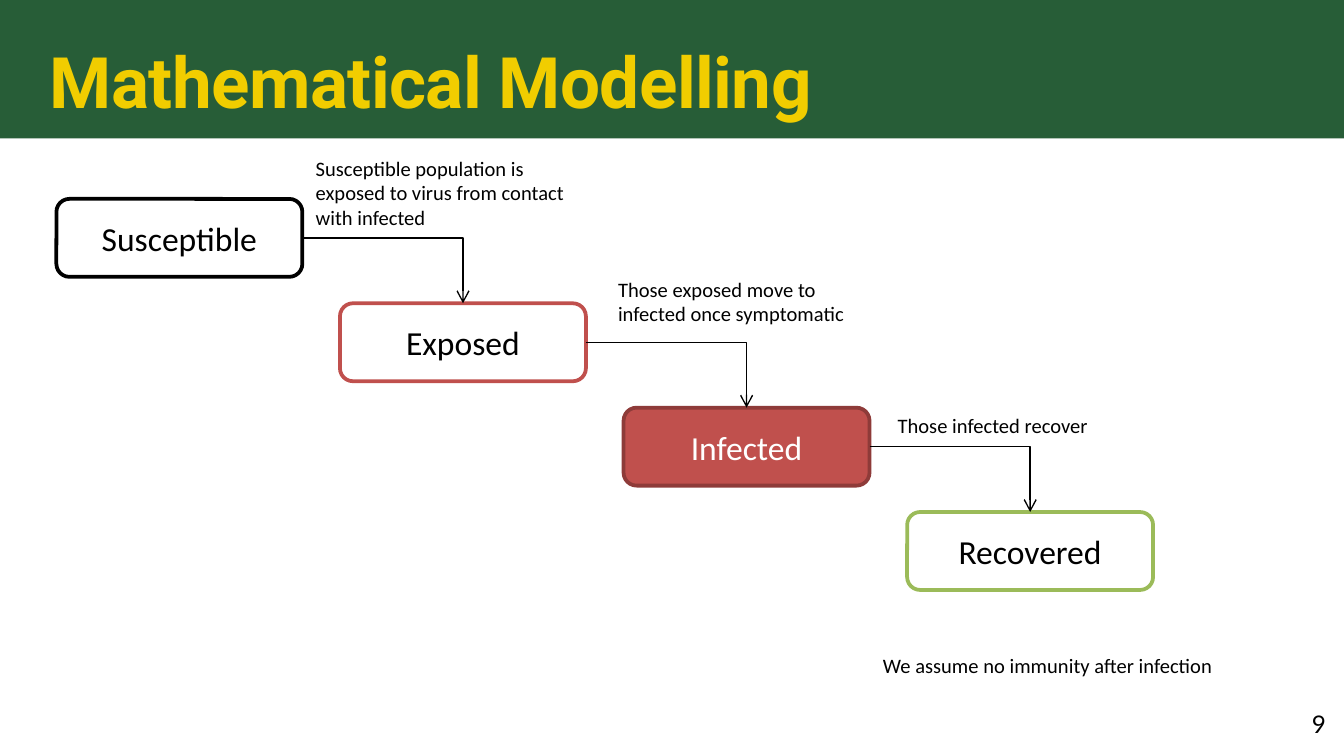
from lxml.etree import SubElement
from pptx import Presentation
from pptx.dml.color import RGBColor
from pptx.enum.shapes import MSO_CONNECTOR, MSO_SHAPE
from pptx.enum.text import MSO_ANCHOR, PP_ALIGN
from pptx.oxml.ns import qn
from pptx.util import Inches, Pt

COLORS = {
    "green": "275D37",
    "yellow": "F1CD00",
    "black": "000000",
    "white": "FFFFFF",
    "red": "C0504D",
    "dark_red": "8E3B39",
    "lime": "9BBB59",
}

# name, fill, outline, text colour
STAGES = [
    ("Susceptible", "white", "black", "black"),
    ("Exposed", "white", "red", "black"),
    ("Infected", "red", "dark_red", "white"),
    ("Recovered", "white", "lime", "black"),
]

# text, left, top, width, height (relative to the flow)
NOTES = [
    ("Susceptible population is exposed to virus from contact with infected",
     1.83, -0.37, 2.08, 0.66),
    ("Those exposed move to infected once symptomatic", 4.08, 0.53, 2.08, 0.47),
    ("Those infected recover", 6.16, 1.54, 2.08, 0.29),
    ("We assume no immunity after infection", 6.05, 3.33, 2.69, 0.29),
]

STAGE_WIDTH, STAGE_HEIGHT = 1.83, 0.58
STEP_RIGHT = 2.11
STEP_DOWN = 2.33 / (len(STAGES) - 1)


def color(name):
    return RGBColor.from_string(COLORS[name])


def write_text(shape, text, size=11, font="Calibri", color_name="black", bold=False,
               align=PP_ALIGN.LEFT, anchor=MSO_ANCHOR.TOP, spacing=None,
               indent=0, space_before=0, margins=(0.1, 0.05, 0.1, 0.05)):
    frame = shape.text_frame
    frame.word_wrap = True
    frame.vertical_anchor = anchor
    left, top, right, bottom = margins
    frame.margin_left, frame.margin_top = Inches(left + indent), Inches(top)
    frame.margin_right, frame.margin_bottom = Inches(right), Inches(bottom)
    paragraph = frame.paragraphs[0]
    paragraph.alignment = align
    paragraph.space_before = Pt(space_before)
    run = paragraph.add_run()
    run.text = text
    run.font.size = Pt(size)
    run.font.name = font
    run.font.bold = bold
    run.font.color.rgb = color(color_name)
    if spacing is not None:
        run.font._element.set("spc", str(round(spacing * 100)))


def add_text(slide, text, left, top, width, height, **text_format):
    box = slide.shapes.add_textbox(Inches(left), Inches(top), Inches(width), Inches(height))
    write_text(box, text, **text_format)


def add_box(slide, kind, left, top, width, height, fill, line=None):
    shape = slide.shapes.add_shape(
        kind, Inches(left), Inches(top), Inches(width), Inches(height))
    shape.shadow.inherit = False
    shape.fill.solid()
    shape.fill.fore_color.rgb = color(fill)
    if line:
        shape.line.color.rgb = color(line)
        shape.line.width = Pt(2)
    else:
        shape.line.fill.background()
    return shape


def add_arrow(slide, source, target):
    """Join the right side of source to the top of target with one bend."""
    arrow = slide.shapes.add_connector(MSO_CONNECTOR.ELBOW, 0, 0, 0, 0)
    arrow.begin_connect(source, 3)
    arrow.end_connect(target, 0)
    arrow.line.color.rgb = color("black")
    arrow.line.width = Pt(0.75)
    properties = arrow.element.spPr
    properties.find(qn("a:prstGeom")).set("prst", "bentConnector2")
    SubElement(properties.find(qn("a:ln")), qn("a:tailEnd"), type="arrow")
    SubElement(properties, qn("a:effectLst"))


def add_header(slide, left, top, width, height):
    add_box(slide, MSO_SHAPE.RECTANGLE, left, top, width, height, "green")
    add_text(slide, "Mathematical Modelling", left + 0.36, top + 0.27, 6.47, 0.65,
             size=38, font="Roboto", color_name="yellow", bold=True, spacing=-0.3,
             indent=0.01, space_before=1, margins=(0, 0.01, 0, 0))


def add_flow(slide, left, top):
    stages = []
    for index, (name, fill, line, text_color) in enumerate(STAGES):
        stage = add_box(slide, MSO_SHAPE.ROUNDED_RECTANGLE,
                        left + index * STEP_RIGHT, top + index * STEP_DOWN,
                        STAGE_WIDTH, STAGE_HEIGHT, fill, line)
        write_text(stage, name, size=18, color_name=text_color,
                   align=PP_ALIGN.CENTER, anchor=MSO_ANCHOR.MIDDLE)
        stages.append(stage)
    for source, target in zip(stages, stages[1:]):
        add_arrow(slide, source, target)
    for text, x, y, width, height in NOTES:
        add_text(slide, text, left + x, top + y, width, height)


def add_page_number(slide, left, top, width, height):
    add_text(slide, "9", left, top, width, height, size=13, font="Lato",
             indent=0.04, space_before=0.1, margins=(0, 0, 0, 0))


def main():
    presentation = Presentation()
    presentation.slide_width = Inches(10)
    presentation.slide_height = Inches(10) * 9 // 16
    slide = presentation.slides.add_slide(presentation.slide_layouts[6])
    add_header(slide, 0, 0, 10, 1.03)
    add_flow(slide, 0.42, 1.48)
    add_page_number(slide, 9.72, 5.28, 0.18, 0.24)
    presentation.save("out.pptx")


if __name__ == "__main__":
    main()
